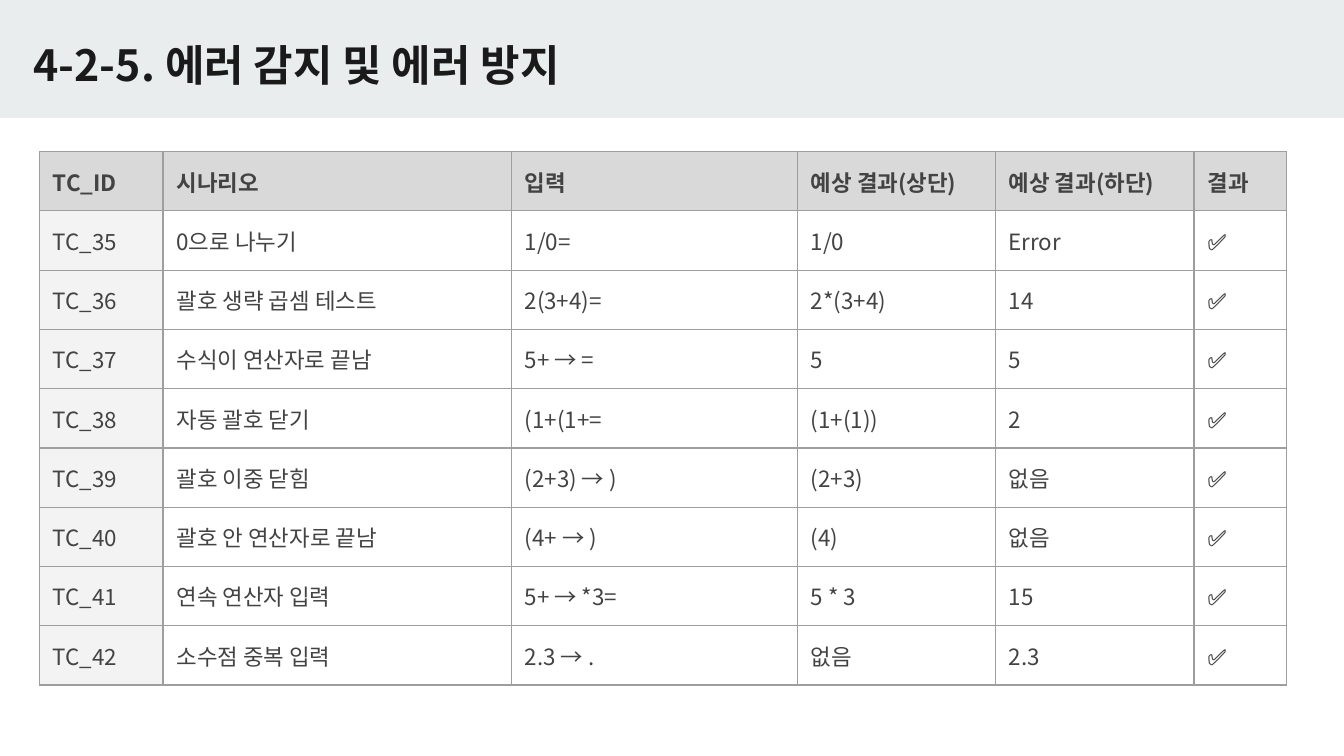
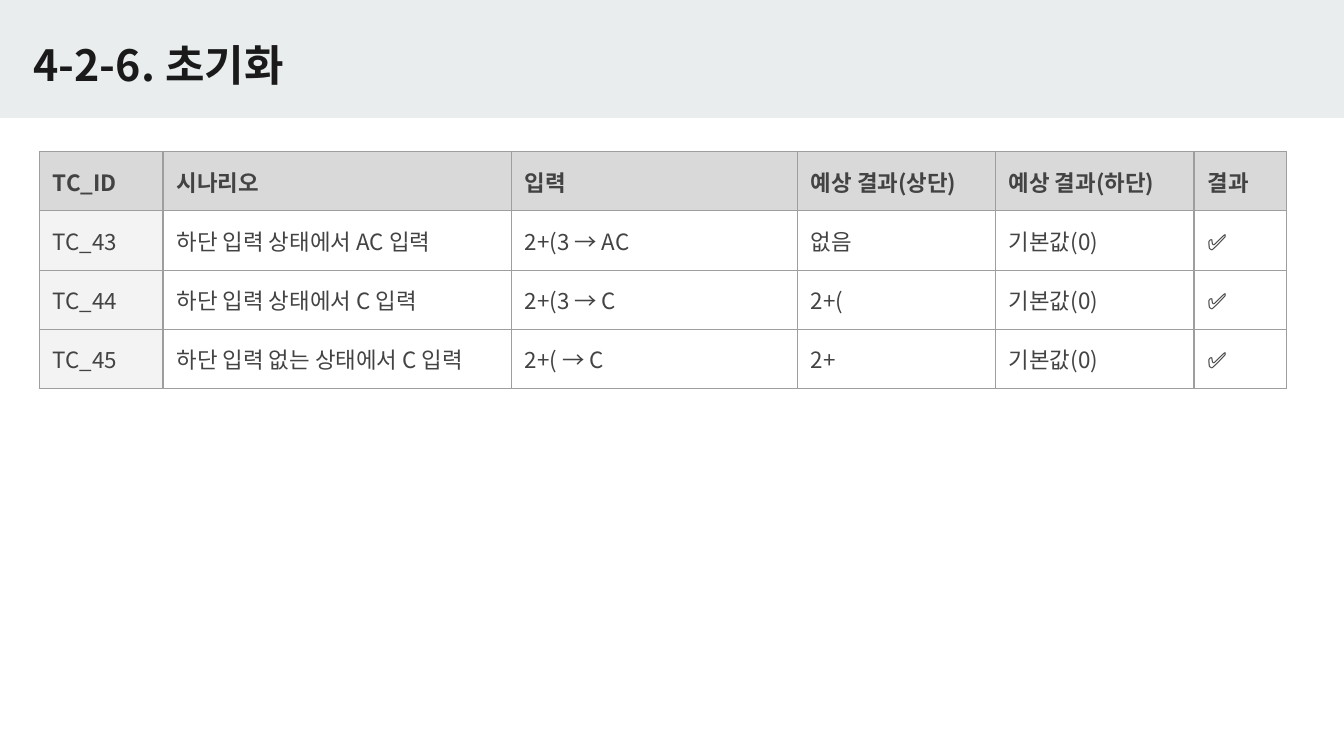
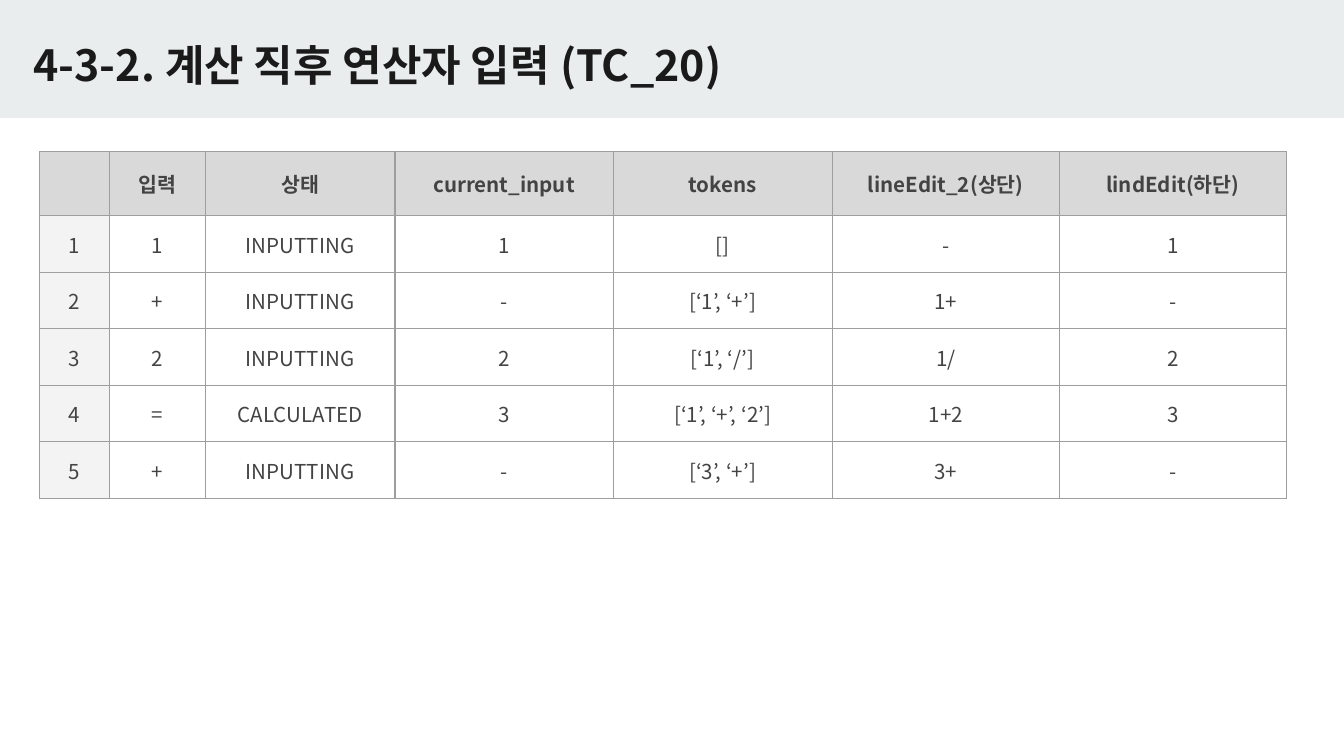
from dataclasses import dataclass

import pptx
import pptx.dml.color
import pptx.enum.shapes
import pptx.enum.text
import pptx.oxml.ns
import pptx.util
from lxml import etree

Pt = pptx.util.Pt
PP_ALIGN = pptx.enum.text.PP_ALIGN
MSO_ANCHOR = pptx.enum.text.MSO_ANCHOR


@dataclass(frozen=True)
class Theme:
    font: str = "Noto Sans CJK KR"
    band: str = "E9EDEE"
    title: str = "1A1A1A"
    text: str = "434343"
    header_fill: str = "D9D9D9"
    label_fill: str = "F3F3F3"
    border: str = "9E9E9E"
    border_width: float = 0.75
    title_size: int = 23
    test_size: int = 12
    trace_size: int = 11
    inset: float = 7.2


THEME = Theme()
SLIDE_WIDTH, SLIDE_HEIGHT = 720, 405
BAND_HEIGHT = 63.2
TITLE_LEFT, TITLE_TOP, TITLE_HEIGHT = 10.8, 13, 42.5
TABLE_LEFT, TABLE_TOP = 21.1, 81.2

# Table content
TEST_HEADER = ["TC_ID", "시나리오", "입력", "예상 결과(상단)", "예상 결과(하단)", "결과"]
TEST_WIDTHS = [66.3, 186.5, 153.3, 106, 106.5, 49.6]
TEST_ROW_HEIGHT = 31.75
PASSED = "✅"

ERROR_CASES = [
    ("0으로 나누기", "1/0=", "1/0", "Error"),
    ("괄호 생략 곱셈 테스트", "2(3+4)=", "2*(3+4)", "14"),
    ("수식이 연산자로 끝남", "5+ → =", "5", "5"),
    ("자동 괄호 닫기", "(1+(1+=", "(1+(1))", "2"),
    ("괄호 이중 닫힘", "(2+3) → )", "(2+3)", "없음"),
    ("괄호 안 연산자로 끝남", "(4+ → )", "(4)", "없음"),
    ("연속 연산자 입력", "5+ → *3=", "5 * 3", "15"),
    ("소수점 중복 입력", "2.3 → .", "없음", "2.3"),
]
RESET_CASES = [
    ("하단 입력 상태에서 AC 입력", "2+(3 → AC", "없음", "기본값(0)"),
    ("하단 입력 상태에서 C 입력", "2+(3 → C", "2+(", "기본값(0)"),
    ("하단 입력 없는 상태에서 C 입력", "2+( → C", "2+", "기본값(0)"),
]

TRACE_HEADER = ["", "입력", "상태", "current_input", "tokens",
                "lineEdit_2(상단)", "lindEdit(하단)"]
TRACE_WIDTHS = [37.4, 51.6, 101.6, 116.8, 117.4, 121.7, 121.7]
TRACE_HEADER_HEIGHT, TRACE_ROW_HEIGHT = 34.3, 30.3
TRACE_STEPS = [
    ("1", "INPUTTING", "1", "[]", "-", "1"),
    ("+", "INPUTTING", "-", "[‘1’, ‘+’]", "1+", "-"),
    ("2", "INPUTTING", "2", "[‘1’, ‘/’]", "1/", "2"),
    ("=", "CALCULATED", "3", "[‘1’, ‘+’, ‘2’]", "1+2", "3"),
    ("+", "INPUTTING", "-", "[‘3’, ‘+’]", "3+", "-"),
]


def rgb(color):
    return pptx.dml.color.RGBColor.from_string(color)


def set_attributes(target, values):
    for name, value in values.items():
        setattr(target, name, value)


def add_element(parent, tag, **attributes):
    return etree.SubElement(parent, pptx.oxml.ns.qn(tag), attributes)


def write_text(paragraph, text, size, color, bold):
    if not text:
        add_element(paragraph._p, "a:endParaRPr", sz=str(size * 100))
        return
    run = paragraph.add_run()
    run.text = text
    set_attributes(run.font, {"name": THEME.font, "size": Pt(size), "bold": bold})
    run.font.color.rgb = rgb(color)
    add_element(run.font._element, "a:ea", typeface=THEME.font)


# Slide with title band
def add_titled_slide(presentation, title, title_width=605.5):
    slide = presentation.slides.add_slide(presentation.slide_layouts[6])
    band = slide.shapes.add_shape(pptx.enum.shapes.MSO_SHAPE.RECTANGLE,
                                  0, 0, Pt(SLIDE_WIDTH), Pt(BAND_HEIGHT))
    band.shadow.inherit = False
    band.fill.solid()
    band.fill.fore_color.rgb = rgb(THEME.band)
    band.line.fill.background()

    box = slide.shapes.add_textbox(Pt(TITLE_LEFT), Pt(TITLE_TOP),
                                   Pt(title_width), Pt(TITLE_HEIGHT))
    inset = Pt(THEME.inset)
    set_attributes(box.text_frame, {
        "word_wrap": True, "vertical_anchor": MSO_ANCHOR.MIDDLE,
        "margin_left": inset, "margin_right": inset,
        "margin_top": inset, "margin_bottom": inset})
    write_text(box.text_frame.paragraphs[0], title,
               THEME.title_size, THEME.title, True)
    return slide


# Table cells
def add_borders(cell):
    properties = cell._tc.get_or_add_tcPr()
    for side in ("a:lnL", "a:lnR", "a:lnT", "a:lnB"):
        line = add_element(properties, side, w=str(Pt(THEME.border_width)))
        fill = add_element(line, "a:solidFill")
        add_element(fill, "a:srgbClr", val=THEME.border)


def format_cell(cell, text, size, fill, bold, cell_format, alignment):
    add_borders(cell)
    if fill:
        cell.fill.solid()
        cell.fill.fore_color.rgb = rgb(fill)
    else:
        cell.fill.background()
    set_attributes(cell, cell_format)
    paragraph = cell.text_frame.paragraphs[0]
    paragraph.alignment = alignment
    write_text(paragraph, text, size, THEME.text, bold)


def add_grid(slide, rows, widths, heights, size, anchor, alignment):
    frame = slide.shapes.add_table(len(rows), len(widths), Pt(TABLE_LEFT), Pt(TABLE_TOP),
                                   Pt(sum(widths)), Pt(sum(heights)))
    table = frame.table
    set_attributes(table, {"first_row": False, "horz_banding": False})
    for column, width in zip(table.columns, widths):
        column.width = Pt(width)
    for row, height in zip(table.rows, heights):
        row.height = Pt(height)

    inset = Pt(THEME.inset)
    cell_format = {"margin_left": inset, "margin_right": inset, "margin_top": inset,
                   "margin_bottom": inset, "vertical_anchor": anchor}
    for row_index, texts in enumerate(rows):
        for column_index, text in enumerate(texts):
            is_header = row_index == 0
            label_fill = THEME.label_fill if column_index == 0 else None
            fill = THEME.header_fill if is_header else label_fill
            format_cell(table.cell(row_index, column_index), text, size, fill,
                        is_header, cell_format, alignment)


# Test case and trace tables
def add_test_table(slide, first_number, cases):
    rows = [TEST_HEADER] + [[f"TC_{number}", *case, PASSED]
                            for number, case in enumerate(cases, first_number)]
    add_grid(slide, rows, TEST_WIDTHS, [TEST_ROW_HEIGHT] * len(rows),
             THEME.test_size, MSO_ANCHOR.TOP, PP_ALIGN.LEFT)


def add_trace_table(slide, steps):
    rows = [TRACE_HEADER] + [[str(number), *step]
                             for number, step in enumerate(steps, 1)]
    heights = [TRACE_HEADER_HEIGHT] + [TRACE_ROW_HEIGHT] * len(steps)
    add_grid(slide, rows, TRACE_WIDTHS, heights,
             THEME.trace_size, MSO_ANCHOR.MIDDLE, PP_ALIGN.CENTER)


def main():
    presentation = pptx.Presentation()
    set_attributes(presentation, {"slide_width": Pt(SLIDE_WIDTH),
                                  "slide_height": Pt(SLIDE_HEIGHT)})

    slide = add_titled_slide(presentation, "4-2-5. 에러 감지 및 에러 방지")
    add_test_table(slide, 35, ERROR_CASES)

    slide = add_titled_slide(presentation, "4-2-6. 초기화")
    add_test_table(slide, 43, RESET_CASES)

    slide = add_titled_slide(presentation, "4-3-2. 계산 직후 연산자 입력 (TC_20)", 679)
    add_trace_table(slide, TRACE_STEPS)

    presentation.save("out.pptx")


if __name__ == "__main__":
    main()
